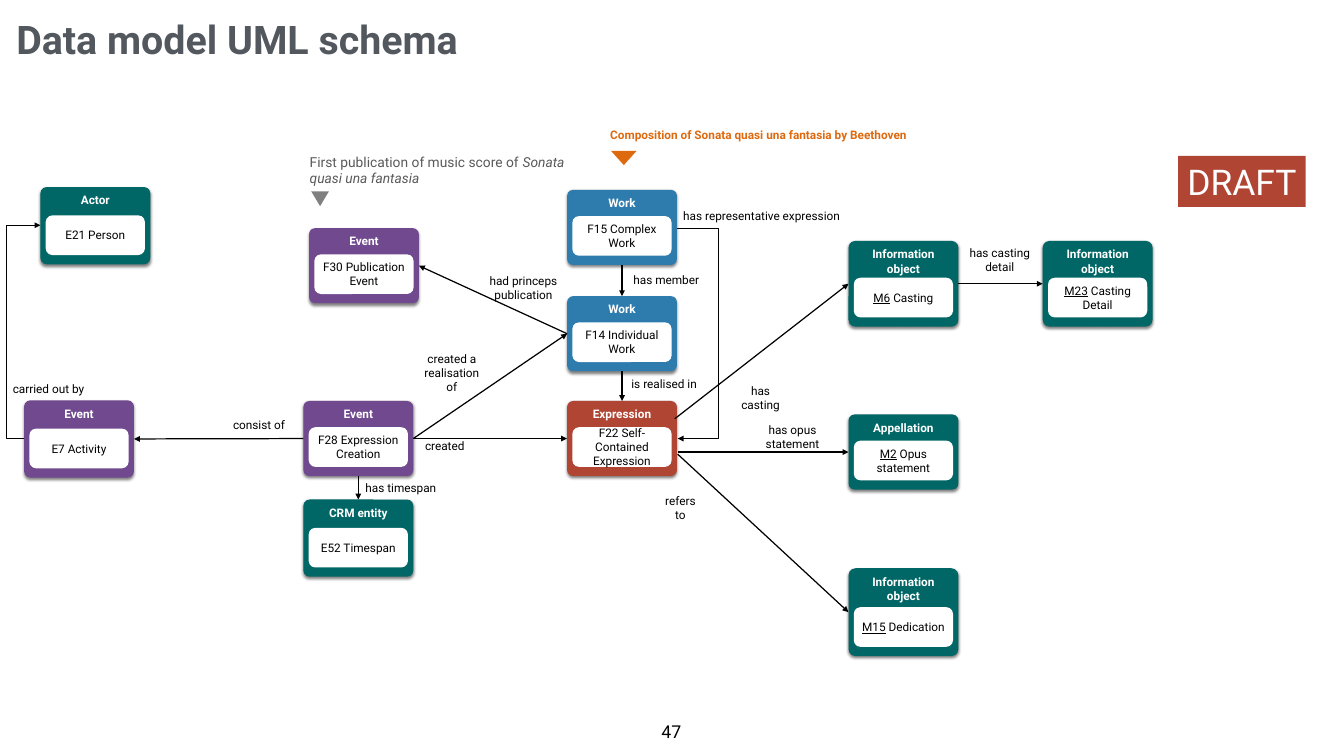
from dataclasses import dataclass

from lxml import etree
from pptx import Presentation
from pptx.dml.color import RGBColor
from pptx.enum import shapes, text
from pptx.oxml import ns
from pptx.util import Inches, Pt

BLACK, WHITE = "000000", "FFFFFF"
TEAL, PURPLE, BLUE, RED, ORANGE = "006666", "70498E", "2E7CAD", "B04533", "DE6A10"
CARD_WIDTH, BODY_WIDTH, BODY_HEIGHT, BODY_MARGIN = 1.55, 1.4, 0.56, 0.13
TOP, LEFT, BOTTOM, RIGHT = range(4)
CENTER = text.PP_ALIGN.CENTER
MIDDLE = text.MSO_ANCHOR.MIDDLE


@dataclass
class Run:
    text: str
    underline: bool = False
    italic: bool = False


@dataclass
class Card:
    code: str
    name: str
    heading: list
    color: str
    left: float
    top: float
    height: float = 1.06


@dataclass
class Arrow:
    """Each end is a (card code, side) pair or an (x, y) point."""
    begin: tuple
    end: tuple


@dataclass
class Elbow:
    begin: tuple
    end: tuple
    turn_x: float


@dataclass
class Label:
    lines: list
    left: float
    top: float
    width: float
    height: float = 0.31
    wrap: bool = False


INFORMATION = ["Information", "object"]
CARDS = [
    Card("F28", "Expression Creation", ["Event"], PURPLE, 4.28, 5.66),
    Card("F22", "Self-Contained Expression", ["Expression"], RED, 8, 5.66),
    Card("F14", "Individual Work", ["Work"], BLUE, 8, 4.18),
    Card("F15", "Complex Work", ["Work"], BLUE, 8, 2.68),
    Card("M2", "Opus statement", ["Appellation"], TEAL, 11.97, 5.85),
    Card("M6", "Casting", INFORMATION, TEAL, 11.97, 3.4, 1.21),
    Card("M23", "Casting Detail", INFORMATION, TEAL, 14.71, 3.4, 1.21),
    Card("E52", "Timespan", ["CRM entity"], TEAL, 4.28, 7.05, 1.09),
    Card("E7", "Activity", ["Event"], PURPLE, 0.34, 5.65, 1.09),
    Card("E21", "Person", ["Actor"], TEAL, 0.57, 2.64, 1.09),
    Card("F30", "Publication Event", ["Event"], PURPLE, 4.36, 3.22),
    Card("M15", "Dedication", INFORMATION, TEAL, 11.97, 8.02, 1.24),
]
ARROWS = [
    Arrow(("F15", BOTTOM), ("F14", TOP)),
    Arrow(("F14", BOTTOM), ("F22", TOP)),
    Arrow(("F28", RIGHT), ("F22", LEFT)),
    Arrow(("F28", RIGHT), ("F14", LEFT)),
    Arrow(("F28", LEFT), ("E7", RIGHT)),
    Arrow(("F28", BOTTOM), ("E52", TOP)),
    Arrow(("F14", LEFT), ("F30", RIGHT)),
    Arrow(("M6", RIGHT), ("M23", LEFT)),
    Arrow((9.57, 6.38), ("M2", LEFT)),
    Arrow((9.52, 5.91), ("M6", LEFT)),
    Arrow((9.56, 6.41), ("M15", LEFT)),
]
ELBOWS = [
    Elbow((9.55, 3.22), (9.56, 6.19), 10.15),
    Elbow((0.34, 6.19), (0.57, 3.18), 0.09),
]
LABELS = [
    Label(["has member"], 8.88, 3.79, 1.04),
    Label(["is realised in"], 8.85, 5.26, 1.04),
    Label(["created"], 5.94, 6.14, 0.67),
    Label(["created a", "realisation of"], 5.9, 5, 0.95, 0.52, wrap=True),
    Label(["has representative expression"], 9.57, 2.89, 2.35),
    Label(["has opus statement"], 10.63, 6.01, 1.1, wrap=True),
    Label(["has casting"], 10.28, 5.46, 0.9, wrap=True),
    Label(["has casting detail"], 13.59, 3.41, 1.03, 0.52, wrap=True),
    Label(["has timespan"], 5.08, 6.73, 1.15),
    Label(["consist of"], 3.08, 5.84, 1.15),
    Label(["carried out by"], 0.11, 5.33, 1.15),
    Label(["had princeps", "publication"], 6.85, 3.8, 1.07, 0.52),
    Label(["refers to"], 9.25, 7.01, 0.7, wrap=True),
]


def rgb(color: str) -> RGBColor:
    return RGBColor.from_string(color)


def write(shape, paragraphs: list, *, size=12, color=BLACK, bold=False, align=CENTER,
          anchor=MIDDLE, wrap=True, margins=(0.06, 0.06)) -> None:
    """Fill a shape; each paragraph is a string or a list of runs."""
    frame = shape.text_frame
    frame.word_wrap = wrap
    frame.auto_size = text.MSO_AUTO_SIZE.NONE
    frame.vertical_anchor = anchor
    frame.margin_left = frame.margin_right = Inches(margins[0])
    frame.margin_top = frame.margin_bottom = Inches(margins[1])
    for index, content in enumerate(paragraphs):
        paragraph = frame.add_paragraph() if index else frame.paragraphs[0]
        paragraph.alignment = align
        for part in [Run(content)] if isinstance(content, str) else content:
            run = paragraph.add_run()
            run.text = part.text
            font = run.font
            font.name, font.size, font.bold = "Roboto", Pt(size), bold
            font.italic, font.underline = part.italic, part.underline
            font.color.rgb = rgb(color)


def add_box(parent, kind, left: float, top: float, width: float, height: float, color: str):
    shape = parent.shapes.add_shape(kind, *map(Inches, (left, top, width, height)))
    shape.shadow.inherit = False
    shape.fill.solid()
    shape.fill.fore_color.rgb = rgb(color)
    shape.line.fill.background()
    return shape


def add_text(slide, paragraphs: list, left: float, top: float, width: float, height: float,
             **style) -> None:
    box = slide.shapes.add_textbox(*map(Inches, (left, top, width, height)))
    write(box, paragraphs, **style)


def add_soft_shadow(shape) -> None:
    effects = shape._element.spPr.find(ns.qn("a:effectLst"))
    shadow = etree.SubElement(effects, ns.qn("a:outerShdw"), blurRad=str(Pt(3)),
                              dist=str(Pt(2)), dir="5400000", rotWithShape="0")
    tone = etree.SubElement(shadow, ns.qn("a:srgbClr"), val=BLACK)
    etree.SubElement(tone, ns.qn("a:alpha"), val="50000")


def add_card(slide, card: Card):
    """Draw a grouped card and return its outer frame for connectors."""
    group = slide.shapes.add_group_shape()
    rounded = shapes.MSO_SHAPE.ROUNDED_RECTANGLE
    frame = add_box(group, rounded, card.left, card.top, CARD_WIDTH, card.height, card.color)
    frame.adjustments[0] = 0.08
    add_soft_shadow(frame)
    write(frame, card.heading, color=WHITE, bold=True, anchor=text.MSO_ANCHOR.TOP)
    body = add_box(group, rounded, card.left + (CARD_WIDTH - BODY_WIDTH) / 2,
                   card.top + card.height - BODY_HEIGHT - BODY_MARGIN,
                   BODY_WIDTH, BODY_HEIGHT, WHITE)
    write(body, [[Run(card.code, underline=card.code.startswith("M")), Run(" " + card.name)]])
    return frame


def add_line(slide, kind, begin: tuple, end: tuple):
    line = slide.shapes.add_connector(kind, *map(Inches, begin + end))
    line.line.color.rgb = rgb(BLACK)
    line.line.width = Pt(1.25)
    etree.SubElement(line.line._get_or_add_ln(), ns.qn("a:tailEnd"), type="triangle")
    etree.SubElement(line._element.spPr, ns.qn("a:effectLst"))
    return line


def add_arrow(slide, arrow: Arrow, frames: dict) -> None:
    points = [(0, 0) if end[0] in frames else end for end in (arrow.begin, arrow.end)]
    line = add_line(slide, shapes.MSO_CONNECTOR.STRAIGHT, *points)
    for end, connect in ((arrow.begin, line.begin_connect), (arrow.end, line.end_connect)):
        if end[0] in frames:
            connect(frames[end[0]], end[1])


def add_elbow(slide, elbow: Elbow) -> None:
    line = add_line(slide, shapes.MSO_CONNECTOR.ELBOW, elbow.begin, elbow.end)
    ratio = (elbow.turn_x - elbow.begin[0]) / (elbow.end[0] - elbow.begin[0])
    guides = line._element.spPr.find(ns.qn("a:prstGeom")).find(ns.qn("a:avLst"))
    etree.SubElement(guides, ns.qn("a:gd"), name="adj1", fmla=f"val {round(ratio * 100000)}")


def add_marker(slide, left: float, top: float, width: float, height: float, color: str) -> None:
    marker = add_box(slide, shapes.MSO_SHAPE.ISOSCELES_TRIANGLE, left, top, width, height, color)
    marker.rotation = 180


def main() -> None:
    presentation = Presentation()
    presentation.slide_width, presentation.slide_height = Inches(18.96), Inches(10.67)
    slide = presentation.slides.add_slide(presentation.slide_layouts[5])
    title = slide.shapes.title
    title.left, title.top, title.width, title.height = map(Inches, (0.17, 0.1, 16.19, 0.88))
    write(title, ["Data model UML schema"], size=40, color="53585F", bold=True,
          align=text.PP_ALIGN.LEFT)
    add_text(slide, ["47"], 9.19, 10.12, 0.56, 0.42, size=18, wrap=False,
             anchor=text.MSO_ANCHOR.TOP)
    draft = add_box(slide, shapes.MSO_SHAPE.RECTANGLE, 16.62, 2.2, 1.8, 0.72, RED)
    write(draft, ["DRAFT"], size=36, color=WHITE, wrap=False)

    frames = {card.code: add_card(slide, card) for card in CARDS}
    for arrow in ARROWS:
        add_arrow(slide, arrow, frames)
    for elbow in ELBOWS:
        add_elbow(slide, elbow)
    for label in LABELS:
        add_text(slide, label.lines, label.left, label.top, label.width, label.height,
                 wrap=label.wrap)

    note = dict(align=text.PP_ALIGN.LEFT, anchor=text.MSO_ANCHOR.TOP, margins=(0.1, 0.05))
    add_text(slide, ["Composition of Sonata quasi una fantasia by Beethoven"],
             8.51, 1.75, 5.93, 0.3, color=ORANGE, bold=True, **note)
    add_marker(slide, 8.62, 2.13, 0.36, 0.2, ORANGE)
    publication = [Run("First publication of music score of "),
                   Run("Sonata quasi una fantasia", italic=True)]
    add_text(slide, [publication], 4.27, 2.12, 3.94, 0.57, size=14, color="595959", **note)
    add_marker(slide, 4.39, 2.7, 0.25, 0.21, "808080")
    presentation.save("out.pptx")


if __name__ == "__main__":
    main()
